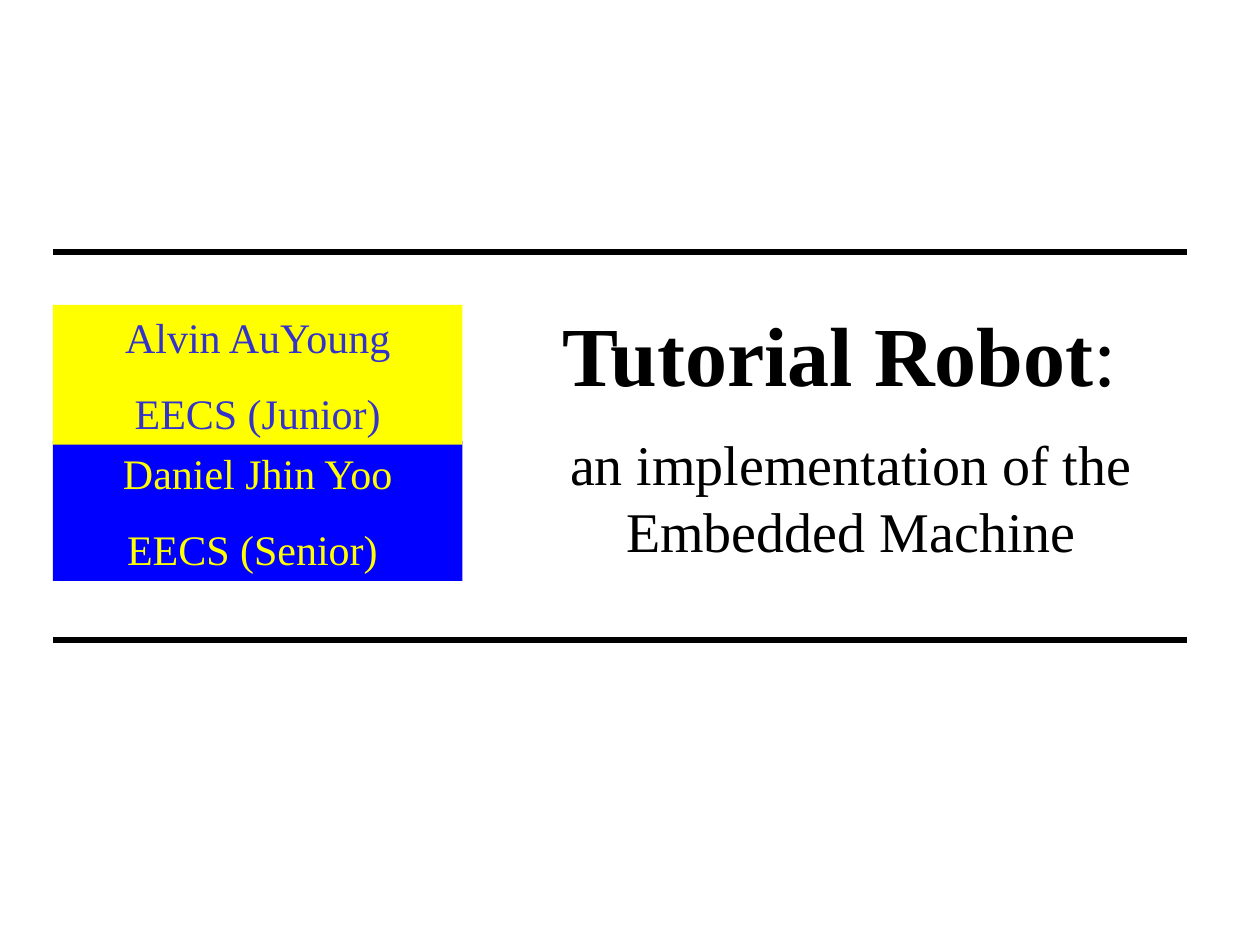
"""Build the title slide for the Tutorial Robot talk."""
from dataclasses import dataclass

from lxml import etree
from pptx import Presentation
from pptx.dml.color import RGBColor
from pptx.enum import shapes, text
from pptx.oxml.ns import qn
from pptx.util import Inches, Pt


@dataclass(frozen=True)
class Theme:
    font: str = "Times New Roman"
    ink: str = "000000"
    yellow: str = "FFFF00"
    blue: str = "0000FF"
    indigo: str = "3333CC"
    title_size: int = 48
    subtitle_size: int = 32
    author_size: int = 24
    author_gap: int = 15
    rule_width: int = 3


THEME = Theme()
TITLE = [("Tutorial Robot", True), (":", False)]
SUBTITLE = "an implementation of the Embedded Machine"
AUTHORS = [
    (3.5, THEME.blue, THEME.yellow, ["Daniel Jhin Yoo", "EECS (Senior) "]),
    (2.42, THEME.yellow, THEME.indigo, ["Alvin AuYoung", "EECS (Junior)"]),
]
RULE_TOPS = [2, 5.08]
LEFT, RIGHT = 0.42, 9.42
AUTHOR_WIDTH, AUTHOR_HEIGHT = 3.25, 1.11
TITLE_BOX = (3.08, 2.35, 7.17, 1.33)
SUBTITLE_BOX = (4.17, 3.36, 5.17, 1.92)


def write(shape, paragraphs, size, color, gap=0):
    frame = shape.text_frame
    frame.word_wrap = True
    frame.vertical_anchor = text.MSO_ANCHOR.TOP
    for index, runs in enumerate(paragraphs):
        line = frame.paragraphs[0] if index == 0 else frame.add_paragraph()
        line.alignment = text.PP_ALIGN.CENTER
        if index:
            line.space_before = Pt(gap)
        line.font.name = THEME.font
        line.font.size = Pt(size)
        line.font.color.rgb = RGBColor.from_string(color)
        for words, bold in runs:
            run = line.add_run()
            run.text = words
            if bold:
                run.font.bold = True


def add_heading(slide, box, runs, size):
    heading = slide.shapes.add_textbox(*map(Inches, box))
    write(heading, [runs], size, THEME.ink)


def add_author(slide, top, fill, color, lines):
    panel = slide.shapes.add_shape(
        shapes.MSO_SHAPE.RECTANGLE,
        *map(Inches, (LEFT, top, AUTHOR_WIDTH, AUTHOR_HEIGHT)))
    panel.shadow.inherit = False
    panel.fill.solid()
    panel.fill.fore_color.rgb = RGBColor.from_string(fill)
    panel.line.fill.background()
    write(panel, [[(words, False)] for words in lines],
          THEME.author_size, color, THEME.author_gap)


def add_rule(slide, top):
    rule = slide.shapes.add_connector(
        shapes.MSO_CONNECTOR.STRAIGHT, *map(Inches, (LEFT, top, RIGHT, top)))
    rule.line.width = Pt(THEME.rule_width)
    rule.line.color.rgb = RGBColor.from_string(THEME.ink)
    etree.SubElement(rule._element.spPr, qn("a:effectLst"))


def main():
    deck = Presentation()
    deck.slide_width, deck.slide_height = Inches(10), Inches(7.5)
    slide = deck.slides.add_slide(deck.slide_layouts[6])
    add_heading(slide, TITLE_BOX, TITLE, THEME.title_size)
    add_heading(slide, SUBTITLE_BOX, [(SUBTITLE, False)], THEME.subtitle_size)
    for author in AUTHORS:
        add_author(slide, *author)
    for top in RULE_TOPS:
        add_rule(slide, top)
    deck.save("out.pptx")


if __name__ == "__main__":
    main()
